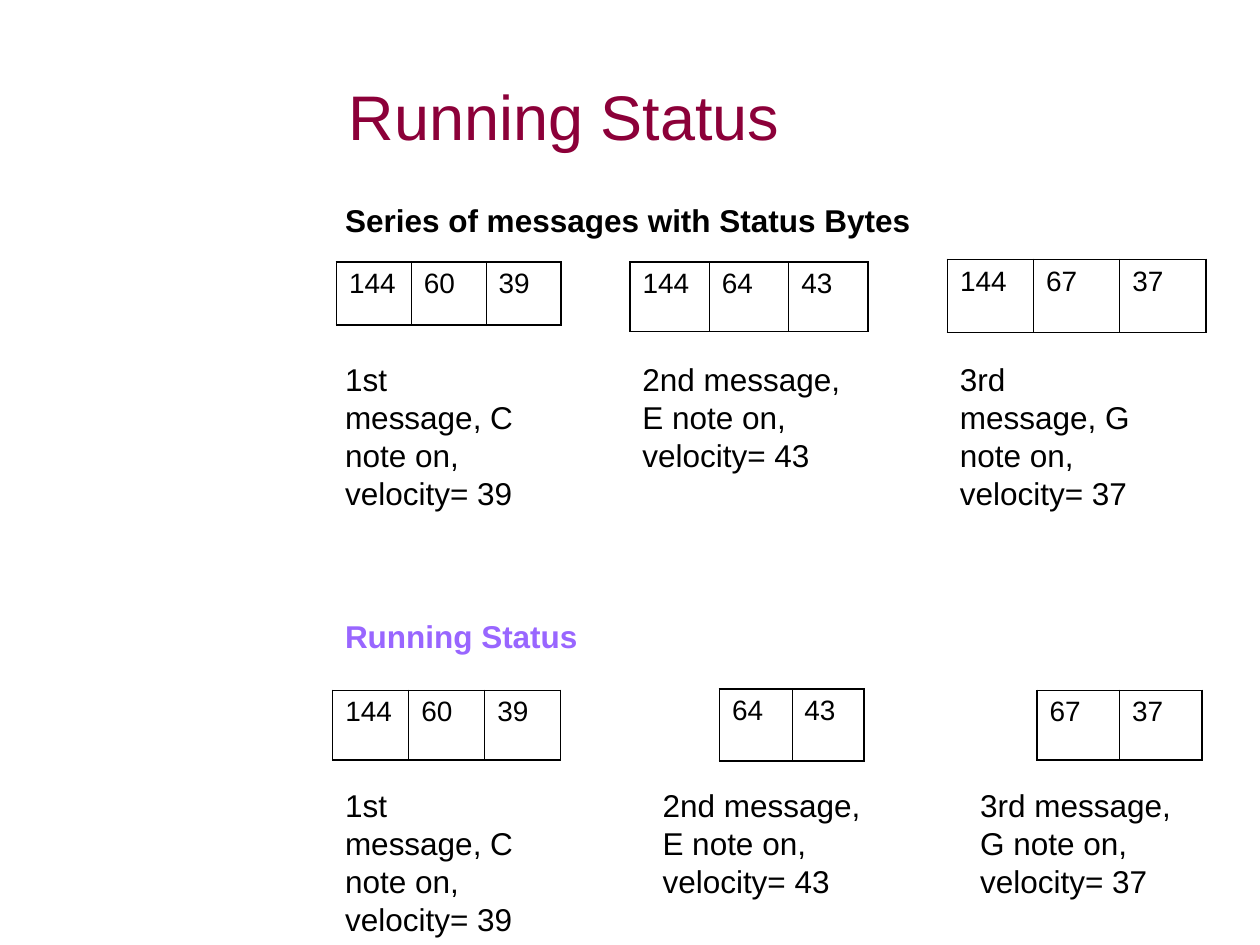
from dataclasses import dataclass

from lxml.etree import SubElement
from pptx import Presentation
from pptx.dml.color import RGBColor
from pptx.enum.text import MSO_ANCHOR, MSO_AUTO_SIZE
from pptx.oxml.ns import qn
from pptx.util import Inches, Pt


@dataclass(frozen=True)
class Theme:
    font: str = "Arial"
    title: str = "8C0039"
    accent: str = "9966FF"
    ink: str = "000000"
    title_size: int = 36
    body_size: int = 18
    cell_size: int = 16
    outer_line: float = 1.08
    inner_line: float = 0.45


@dataclass(frozen=True)
class Message:
    values: tuple[int, ...]
    left: float
    top: float
    width: float
    height: float
    caption: str
    caption_left: float
    caption_top: float
    caption_width: float
    caption_height: float


THEME = Theme()
FIRST = "1st message, C note on, velocity= 39"
SECOND = "2nd message, E note on, velocity= 43"
THIRD = "3rd message, G note on, velocity= 37"
MESSAGES = (
    # Every message carries its status byte
    Message((144, 60, 39), 2.67, 2.08, 1.78, 0.5, FIRST, 2.64, 2.81, 1.65, 1.3),
    Message((144, 64, 43), 5, 2.08, 1.89, 0.55, SECOND, 5, 2.81, 1.89, 1),
    Message((144, 67, 37), 7.52, 2.06, 2.05, 0.58, THIRD, 7.52, 2.81, 1.65, 1.3),
    # Only the first message carries it
    Message((144, 60, 39), 2.64, 5.48, 1.81, 0.55, FIRST, 2.64, 6.19, 1.65, 1.3),
    Message((64, 43), 5.71, 5.47, 1.15, 0.57, SECOND, 5.16, 6.19, 1.89, 1),
    Message((67, 37), 8.23, 5.48, 1.31, 0.55, THIRD, 7.68, 6.19, 1.89, 1),
)


def style(p, size: int, color: str, bold: bool = False) -> None:
    p.font.name = THEME.font
    p.font.size = Pt(size)
    p.font.bold = bold
    p.font.color.rgb = RGBColor.from_string(color)


def add_text(s, text: str, left: float, top: float, width: float, height: float,
             size: int = THEME.body_size, color: str = THEME.ink,
             bold: bool = False, anchor=MSO_ANCHOR.TOP) -> None:
    sp = s.shapes.add_textbox(Inches(left), Inches(top), Inches(width), Inches(height))
    tf = sp.text_frame
    tf.word_wrap = True
    tf.auto_size = MSO_AUTO_SIZE.NONE
    tf.vertical_anchor = anchor
    p = tf.paragraphs[0]
    p.text = text
    style(p, size, color, bold)


def set_borders(cell, first: bool, last: bool) -> None:
    outer, inner = THEME.outer_line, THEME.inner_line
    widths = {"a:lnL": outer if first else inner, "a:lnR": outer if last else inner,
              "a:lnT": outer, "a:lnB": outer}
    tc_pr = cell._tc.get_or_add_tcPr()
    for tag, width in widths.items():
        ln = SubElement(tc_pr, qn(tag), w=str(Pt(width)))
        fill = SubElement(ln, qn("a:solidFill"))
        SubElement(fill, qn("a:srgbClr"), val=THEME.ink)


def add_bytes(s, m: Message) -> None:
    count = len(m.values)
    frame = s.shapes.add_table(1, count, Inches(m.left), Inches(m.top),
                               Inches(m.width), Inches(m.height))
    table = frame.table
    table.first_row = table.horz_banding = False
    for i, value in enumerate(m.values):
        table.columns[i].width = Inches(m.width / count)
        cell = table.cell(0, i)
        set_borders(cell, i == 0, i == count - 1)
        cell.fill.background()
        p = cell.text_frame.paragraphs[0]
        p.text = str(value)
        style(p, THEME.cell_size, THEME.ink)


def main() -> None:
    prs = Presentation()
    prs.slide_width, prs.slide_height = Inches(10), Inches(7.5)
    s = prs.slides.add_slide(prs.slide_layouts[6])

    # Title and section headings
    add_text(s, "Running Status", 2.67, 0.25, 7, 1.33, THEME.title_size,
             THEME.title, anchor=MSO_ANCHOR.MIDDLE)
    add_text(s, "Series of messages with Status Bytes", 2.64, 1.55, 5.59, 0.4, bold=True)
    add_text(s, "Running Status", 2.64, 4.85, 4.1, 0.4, color=THEME.accent, bold=True)

    # Byte tables with their captions
    for m in MESSAGES:
        add_bytes(s, m)
        add_text(s, m.caption, m.caption_left, m.caption_top,
                 m.caption_width, m.caption_height)

    prs.save("out.pptx")


if __name__ == "__main__":
    main()
